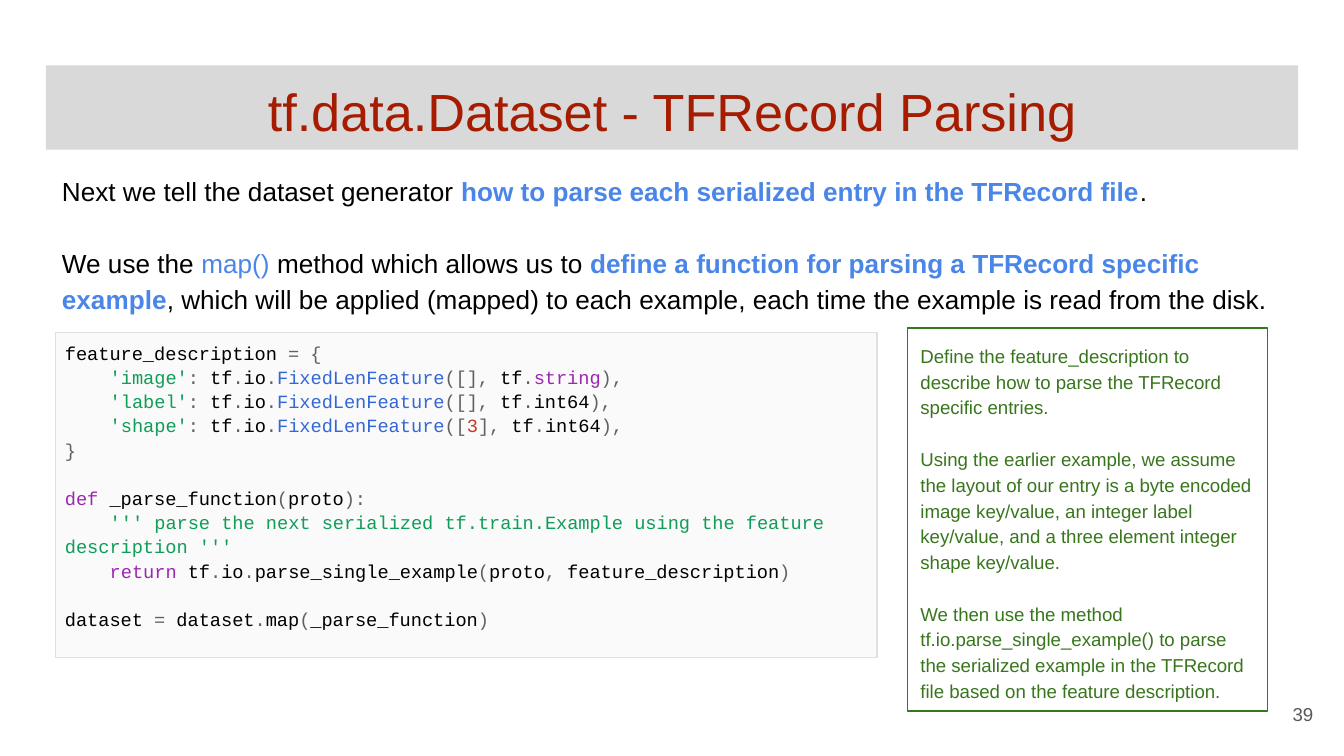
"""Build the slide on parsing TFRecord entries with tf.data.Dataset."""
from lxml import etree
from pptx import Presentation
from pptx.dml.color import RGBColor
from pptx.enum.shapes import MSO_SHAPE
from pptx.enum.text import MSO_ANCHOR, PP_ALIGN
from pptx.oxml.ns import qn
from pptx.util import Pt

RECTANGLE = MSO_SHAPE.RECTANGLE
TOP, MIDDLE = MSO_ANCHOR.TOP, MSO_ANCHOR.MIDDLE
LEFT, CENTER, RIGHT = PP_ALIGN.LEFT, PP_ALIGN.CENTER, PP_ALIGN.RIGHT

COLORS = {
    "banner": "D9D9D9", "title": "A61C00", "number": "595959",
    "black": "000000", "blue": "4A86E8", "note": "38761D",
    "panel": "FAFAFA", "border": "E0E0E0", "punctuation": "616161",
    "literal": "0F9D58", "call": "3367D6", "keyword": "9C27B0", "digit": "C53929",
}
TOKEN_COLORS = {
    "FixedLenFeature": "call", "string": "keyword", "def": "keyword",
    "return": "keyword", "3": "digit",
}


def add_paragraph(frame, spans, size, font="Arial", **formats):
    """Add one paragraph of (text, colour, bold) spans, reusing an empty first one."""
    para = frame.paragraphs[0]
    if para.runs:
        para = frame.add_paragraph()
    for name, value in formats.items():
        setattr(para, name, value)
    for text, color, bold in spans:
        span = para.add_run()
        span.text = text
        for name, value in {"name": font, "size": Pt(size), "bold": bold}.items():
            setattr(span.font, name, value)
        span.font.color.rgb = RGBColor.from_string(COLORS[color])
    return para


def prepare_frame(frame, anchor=TOP):
    """Set wrapping, anchor and equal insets."""
    formats = {"word_wrap": True, "vertical_anchor": anchor}
    formats.update({f"margin_{side}": Pt(7.2) for side in ("left", "top", "right", "bottom")})
    for name, value in formats.items():
        setattr(frame, name, value)
    return frame


deck = Presentation()
deck.slide_width, deck.slide_height = Pt(720), Pt(405)
page = deck.slides.add_slide(deck.slide_layouts[6])

banner = page.shapes.add_shape(RECTANGLE, Pt(24.55), Pt(35.05), Pt(670.9), Pt(45.1))
banner.shadow.inherit = False
banner.fill.solid()
banner.fill.fore_color.rgb = RGBColor.from_string(COLORS["banner"])
banner.line.fill.background()
add_paragraph(prepare_frame(banner.text_frame),
              [("tf.data.Dataset - TFRecord Parsing", "title", False)], 28, alignment=CENTER)

number_box = page.shapes.add_textbox(Pt(667.4), Pt(367.2), Pt(43.2), Pt(31))
add_paragraph(prepare_frame(number_box.text_frame, MIDDLE),
              [("39", "number", False)], 10, alignment=RIGHT)

intro_box = page.shapes.add_textbox(Pt(26.1), Pt(84.2), Pt(667.4), Pt(114.5))
intro_frame = prepare_frame(intro_box.text_frame)
intro = [
    [("Next we tell the dataset generator ", "black", False),
     ("how to parse each serialized entry in the TFRecord file", "blue", True),
     (".", "black", False)],
    [("We use the ", "black", False),
     ("map() ", "blue", False),
     ("method which allows us to ", "black", False),
     ("define a function for parsing a TFRecord specific example", "blue", True),
     (", which will be applied (mapped) to each example, each time the example "
      "is read from the disk.", "black", False)],
]
for index, spans in enumerate(intro):
    add_paragraph(intro_frame, spans, 14, line_spacing=1.15, space_before=Pt(19.3 * index))

table = page.shapes.add_table(1, 1, Pt(29.8), Pt(178.1), Pt(440), Pt(27)).table
table.first_row = table.horz_banding = False
cell = table.cell(0, 0)
for side in ("left", "top", "right", "bottom"):
    setattr(cell, f"margin_{side}", Pt(5))
properties = cell._tc.get_or_add_tcPr()
for edge in ("a:lnL", "a:lnR", "a:lnT", "a:lnB"):
    line = etree.SubElement(properties, qn(edge), w=str(Pt(1)))
    paint = etree.SubElement(line, qn("a:solidFill"))
    etree.SubElement(paint, qn("a:srgbClr"), val=COLORS["border"])
cell.fill.solid()
cell.fill.fore_color.rgb = RGBColor.from_string(COLORS["panel"])

feature = "|:| tf|.|io|.|FixedLenFeature|"
code = [
    (0, 0, "feature_description |= {"),
    (0, 1, f"'image'{feature}([],| tf|.|string|),"),
    (0, 1, f"'label'{feature}([],| tf|.|int64|),"),
    (0, 1, f"'shape'{feature}([|3|],| tf|.|int64|),"),
    (0, 0, "}"),
    (1, 0, "def| _parse_function|(|proto|):"),
    (0, 1, "''' parse the next serialized tf.train.Example using the feature description '''"),
    (0, 1, "return| tf|.|io|.|parse_single_example|(|proto|,| feature_description|)"),
    (1, 0, "dataset |=| dataset|.|map|(|_parse_function|)"),
]
for gap, level, source in code:
    spans = []
    for token in source.split("|"):
        if token.startswith("'"):
            color = "literal"
        elif not any(letter.isalnum() for letter in token):
            color = "punctuation"
        else:
            color = TOKEN_COLORS.get(token, "black")
        spans.append((token, color, False))
    para = add_paragraph(cell.text_frame, spans, 10, "Courier New",
                         line_spacing=1.15, space_before=Pt(13 * gap))
    para._p.get_or_add_pPr().set("indent", str(Pt(24 * level)))

note_box = page.shapes.add_shape(RECTANGLE, Pt(486), Pt(175.7), Pt(193), Pt(205.2))
note_box.shadow.inherit = False
note_box.fill.background()
note_box.line.color.rgb = RGBColor.from_string(COLORS["note"])
note_box.line.width = Pt(0.75)
note_frame = prepare_frame(note_box.text_frame)
notes = [
    "Define the feature_description to describe how to parse the TFRecord specific entries.",
    "Using the earlier example, we assume the layout of our entry is a byte encoded image "
    "key/value, an integer label key/value, and a three element integer shape key/value.",
    "We then use the method tf.io.parse_single_example() to parse the serialized example "
    "in the TFRecord file based on the feature description.",
]
for index, text in enumerate(notes):
    add_paragraph(note_frame, [(text, "note", False)], 10, alignment=LEFT,
                  line_spacing=1.15, space_before=Pt(13.8 * min(index, 1)))

deck.save("out.pptx")
